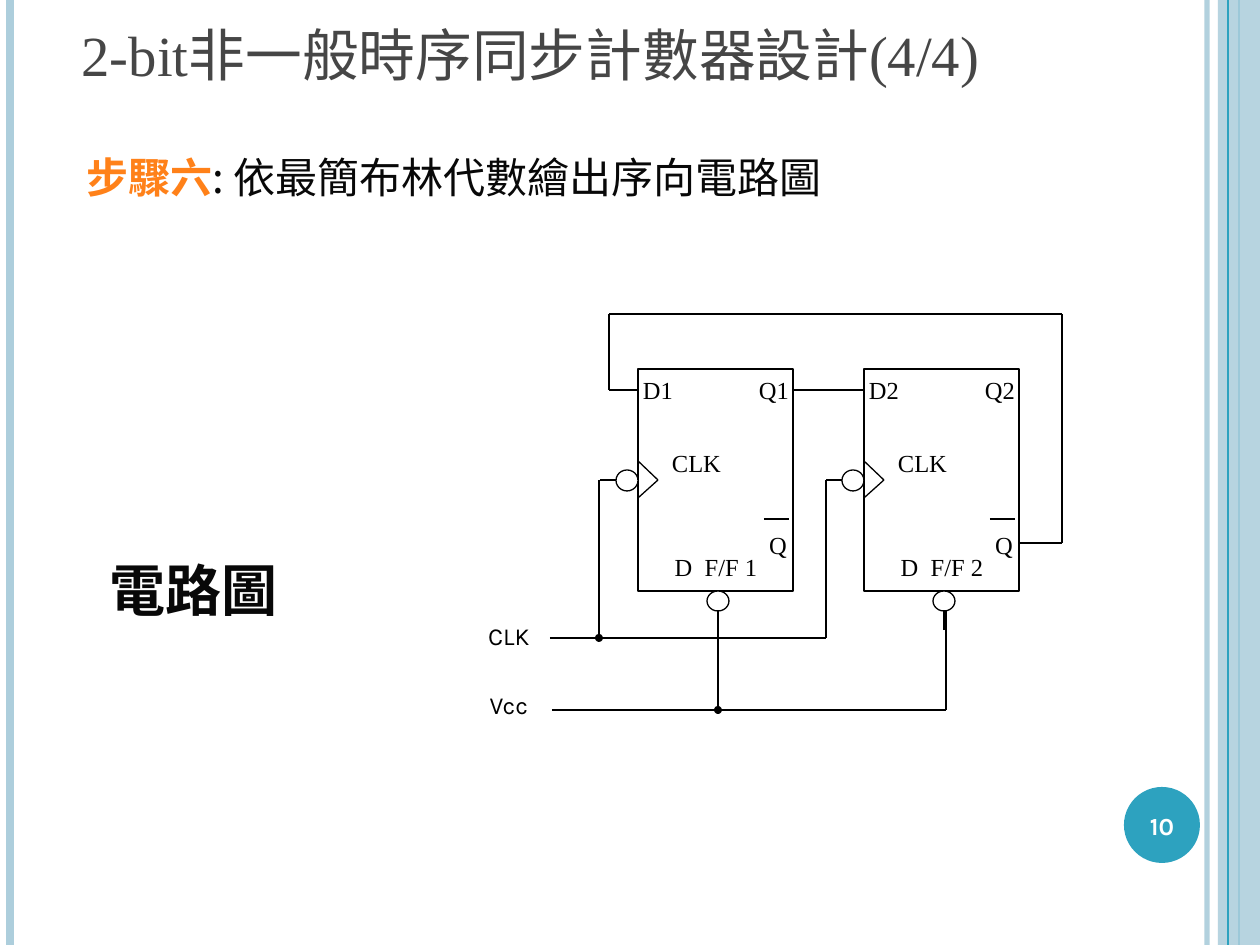
from itertools import pairwise

from lxml.etree import SubElement
from pptx import Presentation
from pptx.dml.color import RGBColor
from pptx.enum.shapes import MSO_CONNECTOR, MSO_SHAPE
from pptx.enum.text import MSO_ANCHOR, MSO_AUTO_SIZE, PP_ALIGN
from pptx.oxml.ns import qn
from pptx.util import Emu, Pt

PX = 914400 // 126
BLACK = RGBColor(0, 0, 0)
WHITE = RGBColor(255, 255, 255)
PALE = RGBColor(0xAD, 0xCE, 0xDC)
TEAL = RGBColor(0x2D, 0xA2, 0xBF)
GRAY = RGBColor(0x46, 0x46, 0x46)
ORANGE = RGBColor(0xFF, 0x81, 0x19)
INK = RGBColor(8, 8, 8)
SERIF, SANS, CJK = "Times New Roman", "Karla", "Noto Sans CJK SC"

# Content: runs are (text, size, font, colour, bold)
TITLE = [("2-bit非一般時序同步計數器設計(4/4)", 32.4, SERIF, GRAY, False)]
STEP = [("步驟六", 24, CJK, ORANGE, True),
        (": 依最簡布林代數繪出序向電路圖", 24, CJK, INK, False)]
CAPTION = [("電路圖", 32, SANS, INK, True)]
PAGE = [("10", 14, SANS, WHITE, True)]
INPUTS = [("CLK", 615), ("Vcc", 684)]

# Flip-flops: corner of each box, and parts measured from that corner
FLIPS = [(1, 638), (2, 864)]
TOP, WIDE, HIGH = 369, 155, 222
PINS = [("D{}", -38, 0, 116, 74), ("CLK", -38, 73, 193, 74),
        ("Q{}", 78, 0, 116, 74), ("Q", 82, 155, 116, 43),
        ("D  F/F {}", -38, 177, 232, 74)]
BUBBLES = [(-22, 101, 22, 21), (69, 222, 22, 20)]
MARKS = [[(0, 92), (20, 111), (0, 129)],   # clock wedge
         [(-22, 111), (-38, 111)],         # clock lead
         [(126, 150), (151, 150)],         # bar over Q
         [(80, 261), (80, 241)]]           # lead below

# Wires between the parts, as corner points
WIRES = [[(1019, 543), (1062, 543), (1062, 314), (609, 314), (609, 390), (638, 390)],
         [(793, 390), (864, 390)],
         [(550, 638), (826, 638), (826, 480)],
         [(599, 480), (599, 638)],
         [(552, 710), (946, 710), (946, 611)],
         [(718, 611), (718, 710)]]
DOTS = [(599, 638), (718, 710)]


def px(*nums):
    return [Emu(round(n * PX)) for n in nums]


def fade(color, pct):
    tag = color.find(".//" + qn("a:srgbClr"))
    SubElement(tag, qn("a:alpha"), val=str(pct * 1000))


def line(start, end, color=BLACK, width=0.75, alpha=None):
    wire = slide.shapes.add_connector(MSO_CONNECTOR.STRAIGHT, *px(*start, *end))
    wire.line.color.rgb = color
    wire.line.width = Pt(width)
    if alpha:
        fade(wire.line._get_or_add_ln(), alpha)
    SubElement(wire._element.spPr, qn("a:effectLst"))


def trace(points):
    for start, end in pairwise(points):
        line(start, end)


def shape(kind, box, fill, edge=None):
    item = slide.shapes.add_shape(kind, *px(*box))
    item.shadow.inherit = False
    item.fill.solid()
    item.fill.fore_color.rgb = fill
    if edge is None:
        item.line.fill.background()
    else:
        item.line.color.rgb = edge
        item.line.width = Pt(0.75)
    return item


def write(frame, runs, align, anchor):
    frame.word_wrap = True
    frame.auto_size = MSO_AUTO_SIZE.NONE
    frame.vertical_anchor = anchor
    para = frame.paragraphs[0]
    para.alignment = align
    for words, size, face, color, bold in runs:
        run = para.add_run()
        run.text = words
        font = run.font
        font.size, font.name, font.bold = Pt(size), face, bold
        font.color.rgb = color
        SubElement(run._r.get_or_add_rPr(), qn("a:ea"), typeface=CJK)


def text(box, runs, align=PP_ALIGN.CENTER, anchor=MSO_ANCHOR.TOP):
    item = slide.shapes.add_textbox(*px(*box))
    write(item.text_frame, runs, align, anchor)


deck = Presentation()
deck.slide_width, deck.slide_height = px(1260, 945)
slide = deck.slides.add_slide(deck.slide_layouts[5])

# Side stripes and page badge
line((1207, 0), (1207, 945), PALE, 3, 93)
line((10, 0), (10, 945), PALE, 4.5)
line((1239, 0), (1239, 945), TEAL, 1.5)
band = shape(MSO_SHAPE.RECTANGLE, (1218, 0, 42, 945), PALE)
fade(band._element.spPr, 87)
line((1228, 0), (1228, 945), TEAL, 0.75)
shape(MSO_SHAPE.OVAL, (1124, 787, 76, 76), TEAL)
text((1120, 790, 84, 72), PAGE, anchor=MSO_ANCHOR.MIDDLE)

# Title and words
head = slide.shapes.title
head.left, head.top, head.width, head.height = px(69, 20, 1023, 74)
write(head.text_frame, TITLE, PP_ALIGN.LEFT, MSO_ANCHOR.BOTTOM)
text((74, 145, 834, 69), STEP, PP_ALIGN.JUSTIFY)
text((97, 549, 228, 79), CAPTION, PP_ALIGN.LEFT)

# Flip-flops
for num, left in FLIPS:
    shape(MSO_SHAPE.RECTANGLE, (left, TOP, WIDE, HIGH), WHITE, BLACK)
    for words, x, y, w, h in PINS:
        text((left + x, TOP + y, w, h),
             [(words.format(num), 14, SERIF, BLACK, False)])
    for x, y, w, h in BUBBLES:
        shape(MSO_SHAPE.OVAL, (left + x, TOP + y, w, h), WHITE, BLACK)
    for mark in MARKS:
        trace([(left + x, TOP + y) for x, y in mark])

# Wires, joints and input names
for wire in WIRES:
    trace(wire)
for x, y in DOTS:
    shape(MSO_SHAPE.OVAL, (x - 4, y - 4, 8, 8), BLACK)
for words, y in INPUTS:
    text((451, y, 116, 49), [(words, 14, SANS, BLACK, False)])

deck.save("out.pptx")
